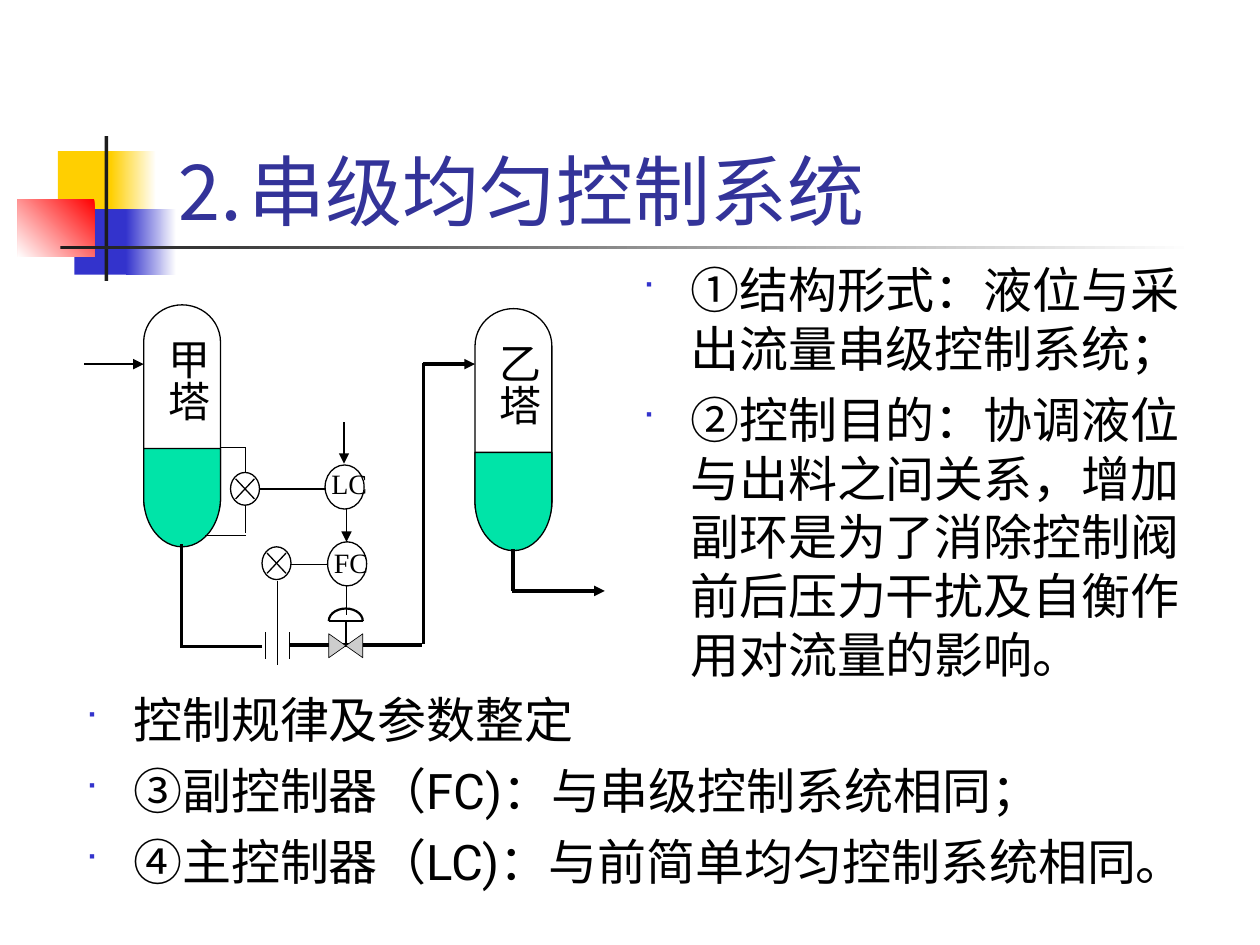
import math

from lxml import etree
from pptx import Presentation, util as u
from pptx.dml.color import RGBColor
from pptx.enum import shapes, text
from pptx.oxml.ns import qn

Inches, Pt = u.Inches, u.Pt
BLACK = "000000"


def rgb(value):
    """Turn a hex string into a colour."""
    return RGBColor.from_string(value)


def add_xml(parent, tag, **attributes):
    """Append a drawing element with attributes."""
    return etree.SubElement(parent, qn(tag), attributes)


def style(shape, fill=None, line=None, width=0.75):
    """Set the fill and outline of a shape."""
    shape.shadow.inherit = False
    if fill:
        shape.fill.solid()
        shape.fill.fore_color.rgb = rgb(fill)
    else:
        shape.fill.background()
    if line:
        shape.line.color.rgb = rgb(line)
        shape.line.width = Pt(width)
    else:
        shape.line.fill.background()
    return shape


def add_preset(slide, kind, box, **look):
    """Add a styled preset shape."""
    return style(slide.shapes.add_shape(kind, *map(Inches, box)), **look)


def add_outline(slide, points, close, **look):
    """Add a styled freeform through the points."""
    corners = [(Inches(x), Inches(y)) for x, y in points]
    builder = slide.shapes.build_freeform(*corners[0], scale=1.0)
    builder.add_line_segments(corners[1:], close=close)
    return style(builder.convert_to_shape(), **look)


def add_line(slide, x1, y1, x2, y2, width=0.75, arrow=False):
    """Add a straight black line, with an arrowhead if asked."""
    line = slide.shapes.add_connector(
        shapes.MSO_CONNECTOR.STRAIGHT, *map(Inches, (x1, y1, x2, y2)))
    line.line.color.rgb = rgb(BLACK)
    line.line.width = Pt(width)
    if arrow:
        add_xml(line.line._get_or_add_ln(), "a:tailEnd", type="triangle")
    add_xml(line._element.spPr, "a:effectLst")


def add_text(slide, box, wrap=True, margins=(0.1, 0.05), **frame_format):
    """Add an empty text box and return its frame."""
    frame = slide.shapes.add_textbox(*map(Inches, box)).text_frame
    across, down = map(Inches, margins)
    settings = dict(word_wrap=wrap, margin_left=across, margin_right=across,
                    margin_top=down, margin_bottom=down, **frame_format)
    for name, value in settings.items():
        setattr(frame, name, value)
    return frame


def write(paragraph, words, size, face, color=BLACK, east_asian=None):
    """Write one run in the given type."""
    run = paragraph.add_run()
    run.text = words
    for name, value in dict(size=Pt(size), name=face).items():
        setattr(run.font, name, value)
    run.font.color.rgb = rgb(color)
    if east_asian:
        add_xml(run._r.get_or_add_rPr(), "a:ea", typeface=east_asian)


def draw_ornament(slide, left, top):
    """Draw the coloured blocks and rules beside the title."""
    blocks = [
        (0.32, 0.12, 0.48, 0.52, "FFCF01", None),
        (0.74, 0.12, 0.36, 0.52, "FFCF01", 0),
        (0.45, 0.58, 0.46, 0.52, "3333CC", None),
        (0.86, 0.58, 0.4, 0.52, "3333CC", 0),
        (0, 0.5, 0.61, 0.46, "FF0000", 225),
        (0.69, 0, 0.03, 1.15, "1C1C1C", None),
        (0.34, 0.87, 9, 0.03, "1C1C1C", 0),
    ]
    for x, y, width, height, color, angle in blocks:
        block = add_preset(slide, shapes.MSO_SHAPE.RECTANGLE,
                           (left + x, top + y, width, height), fill=color)
        if angle is not None:
            block.fill.gradient()
            block.fill.gradient_angle = angle
            for stop, shade in zip(block.fill.gradient_stops, (color, "FFFFFF")):
                stop.color.rgb = rgb(shade)


def draw_title(slide, box):
    """Place the slide title."""
    frame = add_text(slide, box, vertical_anchor=text.MSO_ANCHOR.BOTTOM)
    write(frame.paragraphs[0], "⒉串级均匀控制系统", 44, "Roboto", "333399", "Roboto")


def draw_bullets(slide, box, items):
    """Place a list with square bullets."""
    frame = add_text(slide, box)
    for index, item in enumerate(items):
        paragraph = frame.add_paragraph() if index else frame.paragraphs[0]
        if index:
            paragraph.space_before = Pt(7)
        properties = paragraph._p.get_or_add_pPr()
        properties.set("marL", str(Inches(0.38)))
        properties.set("indent", str(Inches(-0.38)))
        add_xml(add_xml(properties, "a:buClr"), "a:srgbClr", val="3333CC")
        add_xml(properties, "a:buSzPct", val="60000")
        add_xml(properties, "a:buFont", typeface="Wingdings")
        add_xml(properties, "a:buChar", char="■")
        write(paragraph, item, 28, "Roboto", east_asian="Roboto")


def draw_tower(slide, left, top, label):
    """Draw a tower with its liquid and upright label."""
    width, height, liquid = 0.61, 1.84, 0.78
    parts = [(shapes.MSO_SHAPE.FLOWCHART_TERMINATOR, height, height / 2, None),
             (shapes.MSO_SHAPE.FLOWCHART_DELAY, liquid, 1.53, "00E4A8")]
    for kind, length, middle, fill in parts:
        box = (left + (width - length) / 2, top + middle - width / 2, length, width)
        add_preset(slide, kind, box, fill=fill, line=BLACK).rotation = 90
    frame = add_text(slide, (left, top + 0.17, 0.6, 0.9), margins=(0.05, 0.1))
    frame._txBody.bodyPr.set("vert", "eaVert")
    frame.paragraphs[0].alignment = text.PP_ALIGN.CENTER
    write(frame.paragraphs[0], label, 24, "Times New Roman")


def draw_controller(slide, left, top, label, drop):
    """Draw a controller circle with its letters."""
    add_preset(slide, shapes.MSO_SHAPE.OVAL, (left, top, 0.31, 0.35),
               fill="FFFFFF", line=BLACK)
    frame = add_text(slide, (left + 0.05, top + drop, 0.3, 0.27),
                     wrap=False, margins=(0, 0),
                     auto_size=text.MSO_AUTO_SIZE.SHAPE_TO_FIT_TEXT)
    write(frame.paragraphs[0], label, 16, "Times New Roman")


def draw_transmitter(slide, left, top):
    """Draw a crossed transmitter circle."""
    add_preset(slide, shapes.MSO_SHAPE.OVAL, (left, top, 0.23, 0.26),
               fill="FFFFFF", line=BLACK)
    for start, end in ((0.05, 0.21), (0.21, 0.05)):
        add_line(slide, left + 0.04, top + start, left + 0.19, top + end)


def draw_valve(slide, left, top):
    """Draw the control valve with its domed actuator."""
    width, dome, low, high = 0.27, 0.1, 0.2, 0.39
    right, middle = left + width, left + width / 2
    add_outline(slide, [(right, top + high), (right, top + low),
                        (left, top + high), (left, top + low)],
                True, fill="CDCDCD", line=BLACK, width=0.37)
    add_line(slide, middle, top + 0.29, middle, top + dome, 1.25)
    add_line(slide, left, top + dome, right, top + dome, 1.25)
    angles = [math.pi * step / 14 for step in range(15)]
    add_outline(slide, [(middle - width / 2 * math.cos(a),
                         top + dome - dome * math.sin(a)) for a in angles],
                False, line=BLACK, width=1.25)


def draw_process(slide, left, top):
    """Draw the two towers with their piping and control loop."""
    lines = {
        (2, False): [(2.76, 2.71, 2.76, 0.48), (3.47, 1.96, 3.47, 2.29),
                     (1.7, 2.72, 2.75, 2.72), (0.84, 1.92, 0.84, 2.74),
                     (1.48, 2.73, 0.84, 2.73)],
        (2, True): [(2.76, 0.49, 3.17, 0.49), (3.46, 2.29, 4.2, 2.29)],
        (1.5, True): [(0.07, 0.49, 0.54, 0.49)],
        (0.75, True): [(2.15, 1.56, 2.15, 1.9), (2.13, 0.95, 2.13, 1.28)],
        (0.75, False): [(2.15, 2.23, 2.15, 2.48), (2.03, 1.48, 1.43, 1.48),
                        (1.71, 2.08, 2.05, 2.08), (1.35, 1.85, 1.03, 1.85),
                        (1.35, 1.38, 1.35, 1.15), (1.35, 1.15, 1.15, 1.15),
                        (1.35, 1.83, 1.35, 1.6), (1.6, 2.21, 1.6, 2.88),
                        (1.7, 2.62, 1.7, 2.83), (1.51, 2.62, 1.51, 2.83)],
    }
    draw_tower(slide, left + 0.54, top + 0.02, "甲塔")
    draw_tower(slide, left + 3.17, top + 0.05, "乙塔")
    for (width, arrow), runs in lines.items():
        for x1, y1, x2, y2 in runs:
            add_line(slide, left + x1, top + y1, left + x2, top + y2, width, arrow)
    draw_controller(slide, left + 1.98, top + 1.29, "LC", 0.01)
    draw_controller(slide, left + 2, top + 1.9, "FC", 0.03)
    draw_transmitter(slide, left + 1.23, top + 1.35)
    draw_transmitter(slide, left + 1.48, top + 1.94)
    draw_valve(slide, left + 2.01, top + 2.43)


def main():
    """Build and save the slide."""
    deck = Presentation()
    deck.slide_width, deck.slide_height = Inches(10), Inches(7.5)
    slide = deck.slides.add_slide(deck.slide_layouts[6])
    draw_ornament(slide, 0.14, 1.08)
    draw_title(slide, (1.26, 0.67, 8.52, 1.25))
    draw_process(slide, 0.6, 2.4)
    draw_bullets(slide, (5, 2.01, 4.67, 3.67), [
        "①结构形式：液位与采出流量串级控制系统；",
        "②控制目的：协调液位与出料之间关系，增加副环是为了消除控制阀前后压力干扰及自衡作用对流量的影响。"])
    draw_bullets(slide, (0.58, 5.42, 8.8, 1.83), [
        "控制规律及参数整定",
        "③副控制器（FC)：与串级控制系统相同；",
        "④主控制器（LC)：与前简单均匀控制系统相同。"])
    deck.save("out.pptx")


if __name__ == "__main__":
    main()
